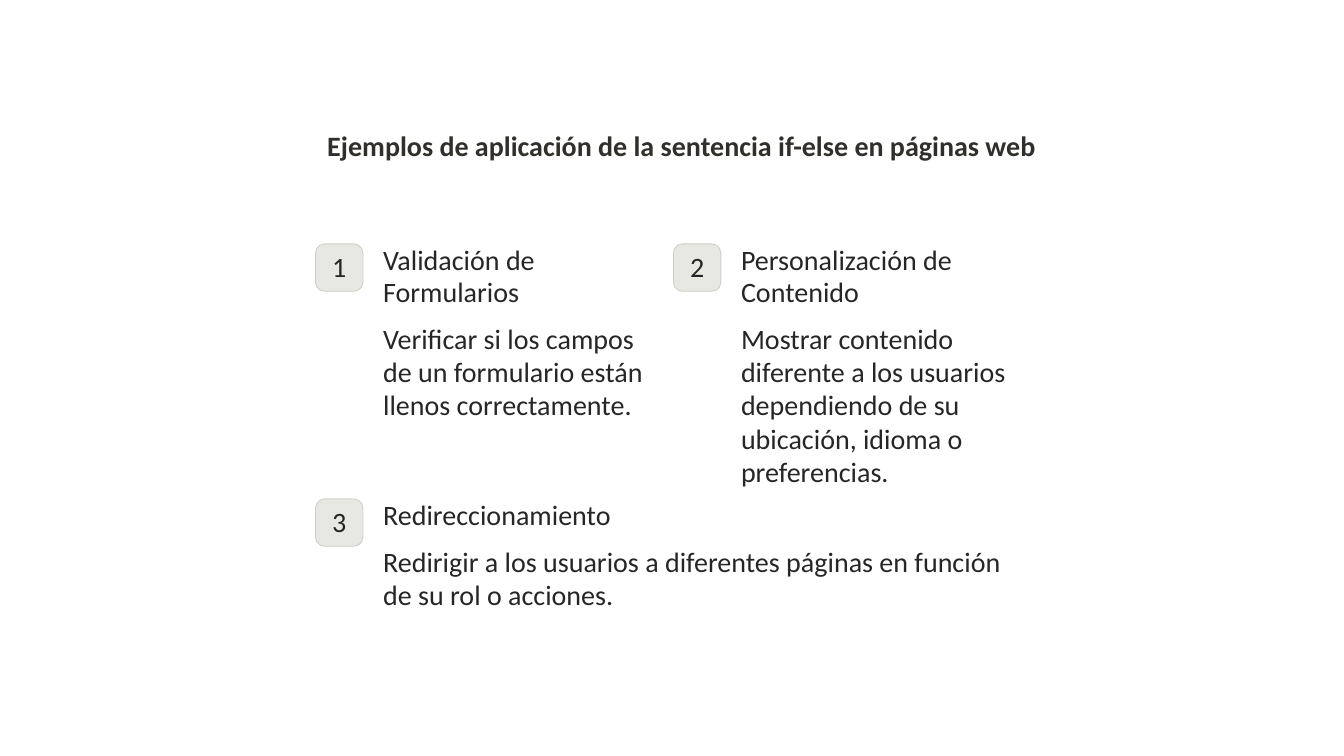
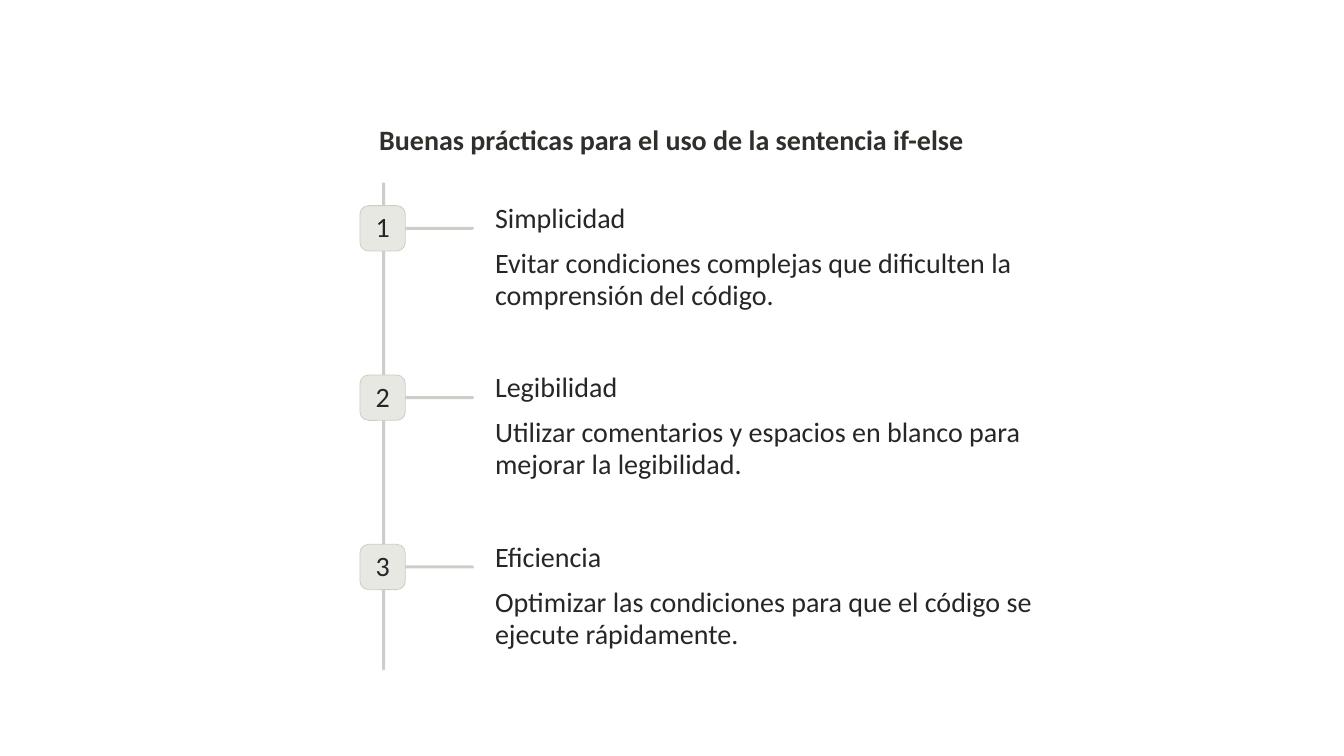
from pptx import Presentation
from pptx.dml.color import RGBColor
from pptx.enum import shapes, text
from pptx.util import Inches, Pt

COLORS = {"title": "312F2B", "body": "272525", "badge": "E8E8E3", "rule": "CECEC9"}
FONT = "Calibri"
SIZE = 20


def color(name):
    """Return a palette colour."""
    return RGBColor.from_string(COLORS[name])


def write(shape, words, spacing, ink="body", bold=False, align=text.PP_ALIGN.LEFT):
    """Fill a shape with one paragraph in the deck's type style."""
    frame = shape.text_frame
    frame.word_wrap = True
    frame.margin_left = frame.margin_right = frame.margin_top = frame.margin_bottom = 0
    para = frame.paragraphs[0]
    para.text = words
    para.alignment = align
    para.line_spacing = Pt(spacing)
    para.font.name = FONT
    para.font.size = Pt(SIZE)
    para.font.bold = bold
    para.font.color.rgb = color(ink)


def add_text(page, box, words, spacing, **style):
    """Place a text box given as left, top, width and height."""
    write(page.shapes.add_textbox(*map(Inches, box)), words, spacing, **style)


def add_title(page, box, words, spacing):
    """Place the bold centred slide title."""
    add_text(page, box, words, spacing, ink="title", bold=True, align=text.PP_ALIGN.CENTER)


def add_rounded(page, box, fill, corner):
    """Place a flat rounded rectangle without an outline."""
    shape = page.shapes.add_shape(shapes.MSO_SHAPE.ROUNDED_RECTANGLE, *map(Inches, box))
    shape.adjustments[0] = corner
    shape.shadow.inherit = False
    shape.fill.solid()
    shape.fill.fore_color.rgb = color(fill)
    shape.line.fill.background()
    return shape


def add_badge(page, left, top, side, number, spacing):
    """Place a numbered square badge."""
    badge = add_rounded(page, (left, top, side, side), "badge", 0.19)
    badge.line.color.rgb = color("rule")
    badge.line.width = Pt(0.6)
    write(badge, str(number), spacing, align=text.PP_ALIGN.CENTER)
    badge.text_frame.vertical_anchor = text.MSO_ANCHOR.MIDDLE


def add_example(page, box, number, heading, body, heading_height):
    """Place a badge with a heading and a description to its right."""
    left, top, width, height = box
    indent, gap = 0.67, 0.12
    offset = heading_height + gap
    add_badge(page, left, top, 0.47, number, 22.1)
    add_text(page, (left + indent, top, width - indent, heading_height), heading, 22.9)
    add_text(page, (left + indent, top + offset, width - indent, height - offset), body, 23.8)


def add_step(page, box, number, heading, body):
    """Place a timeline step: branch, badge, heading and description."""
    left, top, width, height = box
    indent = 1.34
    add_rounded(page, (left + 0.43, top + 0.24, 0.7, 0.03), "rule", 0.5)
    add_badge(page, left, top + 0.03, 0.45, number, 21.7)
    add_text(page, (left + indent, top, width - indent, 0.31), heading, 22.5)
    add_text(page, (left + indent, top + 0.44, width - indent, height - 0.44), body, 22.9)


def build_examples(page):
    """Build the slide of numbered examples."""
    add_title(page, (0.8, 0.97, 11.92, 1.94),
              "Ejemplos de aplicación de la sentencia if-else en páginas web", 46.2)
    left, top, width, pitch = 3.13, 2.42, 3.34, 3.55
    pair = [
        ("Validación de Formularios",
         "Verificar si los campos de un formulario están llenos correctamente."),
        ("Personalización de Contenido",
         "Mostrar contenido diferente a los usuarios dependiendo de su ubicación, "
         "idioma o preferencias."),
    ]
    for index, (heading, body) in enumerate(pair):
        box = (left + index * pitch, top, width, 2.09)
        add_example(page, box, index + 1, heading, body, 0.65)
    add_example(page, (left, 4.95, pitch + width, 1.11), 3, "Redireccionamiento",
                "Redirigir a los usuarios a diferentes páginas en función de su rol o acciones.",
                0.33)


def build_practices(page):
    """Build the vertical timeline of good practices."""
    add_title(page, (0.66, 0.92, 12, 0.72),
              "Buenas prácticas para el uso de la sentencia if-else", 45)
    left, top, pitch = 3.57, 2.01, 1.68
    add_rounded(page, (left + 0.22, 1.81, 0.03, 4.84), "rule", 0.5)
    steps = [
        ("Simplicidad", "Evitar condiciones complejas que dificulten la comprensión del código."),
        ("Legibilidad", "Utilizar comentarios y espacios en blanco para mejorar la legibilidad."),
        ("Eficiencia", "Optimizar las condiciones para que el código se ejecute rápidamente."),
    ]
    for index, (heading, body) in enumerate(steps):
        add_step(page, (left, top + index * pitch, 6.86, 1.08), index + 1, heading, body)


def main():
    """Build and save the deck."""
    deck = Presentation()
    deck.slide_width, deck.slide_height = Inches(13.33), Inches(7.5)
    for build in (build_examples, build_practices):
        build(deck.slides.add_slide(deck.slide_layouts[6]))
    deck.save("out.pptx")


if __name__ == "__main__":
    main()
